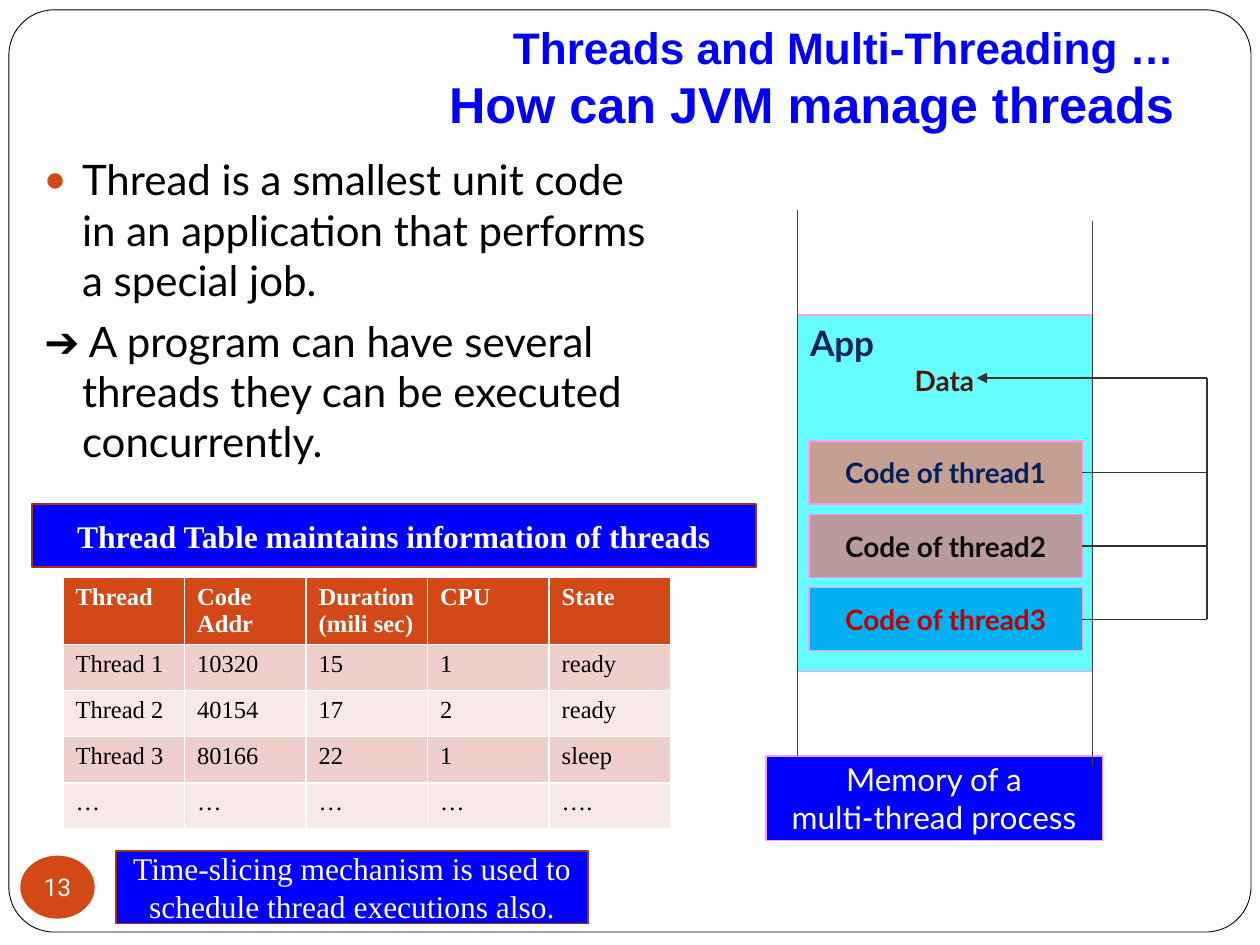
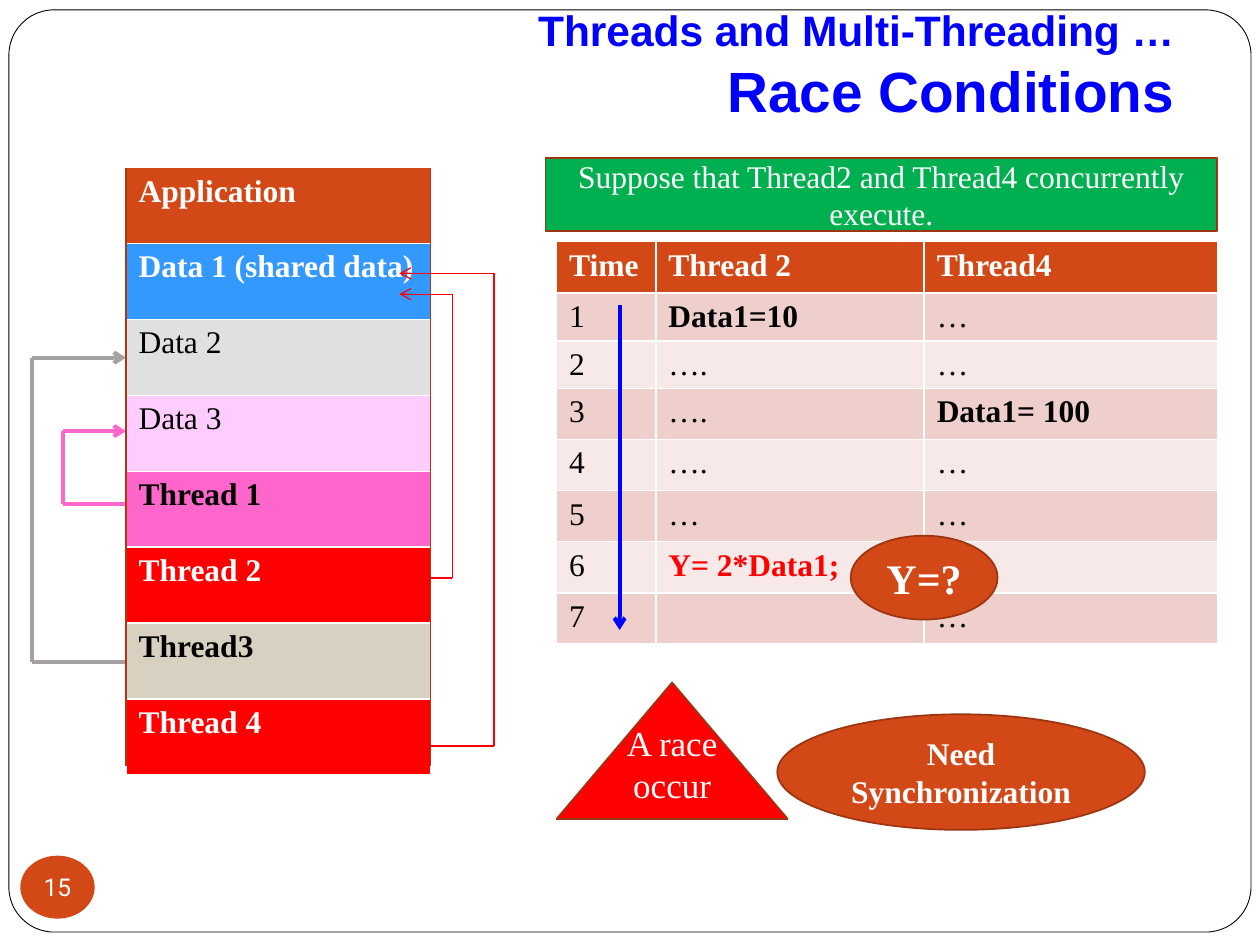
import pptx
import pptx.dml.color
import pptx.enum.shapes
import pptx.enum.text
import pptx.oxml
import pptx.oxml.ns
import pptx.util
from lxml import etree

Cm, Pt = pptx.util.Cm, pptx.util.Pt
SHAPE = pptx.enum.shapes.MSO_SHAPE
ALIGN = pptx.enum.text.PP_ALIGN
ANCHOR = pptx.enum.text.MSO_ANCHOR
SERIF, SANS, HEAD = "Times New Roman", "Lato", "Arial"
BLUE, ORANGE, RUST, RED = "0000FF", "D34817", "9C3511", "FF0000"
WHITE, BLACK, PINK = "FFFFFF", "000000", "FF99FF"
BANDS = ["EFCFCC", "F7E9E8"]


def rgb(code):
    """Turn a hex string into a colour."""
    return pptx.dml.color.RGBColor.from_string(code)


def add(parent, tag, **attrs):
    """Append a DrawingML element to parent."""
    el = etree.SubElement(parent, pptx.oxml.ns.qn(tag))
    for name, value in attrs.items():
        el.set(name, value)
    return el


def write(p, text, size, color, font=SERIF, bold=False):
    """Add one formatted run to a paragraph."""
    r = p.add_run()
    r.text = text
    r.font.size, r.font.name, r.font.bold = Pt(size), font, bold
    r.font.color.rgb = rgb(color)


def paragraphs(tf, count):
    """Yield count paragraphs of a text frame, starting with its first."""
    for i in range(count):
        yield tf.add_paragraph() if i else tf.paragraphs[0]


class Deck:
    """Holds the presentation, the shared style and the current slide."""

    def __init__(self):
        """Start a 4:3 presentation."""
        self.prs = pptx.Presentation()
        self.prs.slide_width, self.prs.slide_height = Cm(25.4), Cm(19.05)
        self.s = None

    def slide(self, layout, number, top, lines):
        """Add a slide with its frame, two-line title and number badge."""
        self.s = self.prs.slides.add_slide(self.prs.slide_layouts[layout])
        frame = self.box(SHAPE.ROUNDED_RECTANGLE, (0.18, 0.2, 25.04, 18.59),
                         None, BLACK, width=0.5)
        frame.adjustments[0] = 0.049
        tf = self.placeholder(self.s.shapes.title, (2.54, top, 21.39, 2.74))
        tf.vertical_anchor = ANCHOR.BOTTOM
        tf.margin_bottom = Cm(0.25)
        p = tf.paragraphs[0]
        p.alignment = ALIGN.RIGHT
        for i, (text, size) in enumerate(lines):
            if i:
                p.add_line_break()
            write(p, text, size, BLUE, HEAD, True)
        badge = self.box(SHAPE.OVAL, (0.41, 17.25, 1.5, 1.27), ORANGE, None,
                         [number], 14, font="Roboto")
        tf = badge.text_frame
        tf.margin_left = tf.margin_right = tf.margin_top = tf.margin_bottom = 0

    def placeholder(self, sp, at):
        """Move a placeholder and return its text frame."""
        sp.left, sp.top, sp.width, sp.height = map(Cm, at)
        tf = sp.text_frame
        tf.word_wrap = True
        tf.auto_size = pptx.enum.text.MSO_AUTO_SIZE.NONE
        return tf

    def body(self, at, items):
        """Fill the body placeholder with (text, has bullet) items."""
        tf = self.placeholder(self.s.placeholders[1], at)
        for p, (text, bullet) in zip(paragraphs(tf, len(items)), items):
            p.space_before = Pt(5.8)
            write(p, text, 24, BLACK, SANS)
            pPr = p._p.get_or_add_pPr()
            pPr.set("marL", str(Cm(0.76)))
            pPr.set("indent", str(-Cm(0.76)))
            if bullet:
                add(add(pPr, "a:buClr"), "a:srgbClr", val=ORANGE)
                add(pPr, "a:buSzPct", val="85000")
                add(pPr, "a:buChar", char="●")
            else:
                add(pPr, "a:buNone")

    def box(self, kind, at, fill, line, lines=(), size=18, color=WHITE,
            font=SERIF, bold=False, width=1):
        """Draw a preset shape with centred lines of text."""
        sp = self.s.shapes.add_shape(kind, *map(Cm, at))
        sp.shadow.inherit = False
        if fill:
            sp.fill.solid()
            sp.fill.fore_color.rgb = rgb(fill)
        else:
            sp.fill.background()
        if line:
            sp.line.color.rgb = rgb(line)
            sp.line.width = Pt(width)
        else:
            sp.line.fill.background()
        tf = sp.text_frame
        tf.word_wrap = True
        tf.vertical_anchor = ANCHOR.MIDDLE
        for p, text in zip(paragraphs(tf, len(lines)), lines):
            p.alignment = ALIGN.CENTER
            write(p, text, size, color, font, bold)
        return sp

    def route(self, points, color, width=0.75, arrow=None):
        """Join points with straight connectors, an arrow on the last."""
        for start, end in zip(points, points[1:]):
            cx = self.s.shapes.add_connector(
                pptx.enum.shapes.MSO_CONNECTOR.STRAIGHT, *map(Cm, start + end))
            cx.line.color.rgb = rgb(color)
            cx.line.width = Pt(width)
            if arrow and end == points[-1]:
                add(cx.line._get_or_add_ln(), "a:tailEnd", type=arrow)
            add(cx._element.spPr, "a:effectLst")

    def table(self, left, top, widths, heights, rows, size, fills, special=None):
        """Draw a table; special maps (row, column) to (colour, bold)."""
        shape = self.s.shapes.add_table(
            len(rows), len(widths), Cm(left), Cm(top),
            Cm(sum(widths)), Cm(sum(heights)))
        tbl = shape.table
        for col, w in zip(tbl.columns, widths):
            col.width = Cm(w)
        for i, row in enumerate(rows):
            tbl.rows[i].height = Cm(heights[i])
            for j, text in enumerate(row):
                cell = tbl.cell(i, j)
                cell.fill.solid()
                cell.fill.fore_color.rgb = rgb(fills[i])
                usual = (BLACK, False) if i else (WHITE, True)
                color, bold = (special or {}).get((i, j), usual)
                lines = text.split("\n") if text else []
                tf = cell.text_frame
                for p, line in zip(paragraphs(tf, len(lines)), lines):
                    write(p, line, size, color, bold=bold)


def thread_management(d):
    """Build the slide on how threads are managed."""
    d.slide(1, "13", 0.2, [("Threads and Multi-Threading …", 25.2),
                           ("How can JVM manage threads", 28.8)])
    d.body((0.64, 2.97, 12.9, 6.99), [
        ("Thread is a smallest unit code in an application that performs "
         "a special job.", True),
        ("➔ A program can have several threads they can be executed "
         "concurrently.", False)])

    left, right, bus = 16.08, 22.02, 24.33
    d.box(SHAPE.RECTANGLE, (15.44, 15.24, 6.78, 1.7), BLUE, PINK,
          ["Memory of a", "multi-thread process"], font=SANS, width=0.75)
    app = d.box(SHAPE.RECTANGLE, (left, 6.35, 5.92, 7.19), "66FFFF", PINK,
                width=0.75)
    tf = app.text_frame
    tf.vertical_anchor = ANCHOR.TOP
    name, data = paragraphs(tf, 2)
    name.alignment, data.alignment = ALIGN.LEFT, ALIGN.CENTER
    write(name, "App", 20, "002060", SANS, True)
    write(data, "Data", 16, "4E1710", SANS, True)

    d.route([(left, 4.24), (left, 15.24)], "494142")
    d.route([(right, 4.45), (right, 15.44)], "494142")
    codes = [("C49F92", "002060"), ("B99B9B", "0D0D0D"), ("00B0F0", "C00000")]
    for i, (fill, color) in enumerate(codes):
        y = 8.89 + 1.48 * i
        middle = y + 0.635
        d.box(SHAPE.RECTANGLE, (16.31, y, 5.51, 1.27), fill, PINK,
              [f"Code of thread{i + 1}"], 16, color, SANS, True, 0.75)
        d.route([(21.82, middle), (bus, middle)], "353232")
    d.route([(bus, middle), (bus, 7.62), (19.69, 7.62)], "353232",
            arrow="triangle")

    d.table(1.27, 11.63, [2.45] * 5, [1.36] + [0.93] * 4, [
        ["Thread", "Code Addr", "Duration\n(mili sec)", "CPU", "State"],
        ["Thread 1", "10320", "15", "1", "ready"],
        ["Thread 2", "40154", "17", "2", "ready"],
        ["Thread 3", "80166", "22", "1", "sleep"],
        ["…", "…", "…", "…", "…."]], 14, [ORANGE] + BANDS * 2)
    d.box(SHAPE.RECTANGLE, (0.64, 10.16, 14.6, 1.27), BLUE, RUST,
          ["Thread Table maintains information of threads"], bold=True)
    d.box(SHAPE.RECTANGLE, (2.34, 17.15, 9.52, 1.47), BLUE, RUST,
          ["Time-slicing mechanism is used to schedule thread executions also."])


def race_conditions(d):
    """Build the slide on race conditions."""
    d.slide(5, "15", 0, [("Threads and Multi-Threading …", 24.3),
                         ("Race Conditions", 32.4)])
    memory = [("Application", ORANGE, WHITE, True),
              ("Data 1 (shared data)", "3399FF", WHITE, True),
              ("Data 2", "E1E0E0", BLACK, False),
              ("Data 3", "FFCCFF", BLACK, False),
              ("Thread 1", "FF66CC", BLACK, True),
              ("Thread 2", RED, WHITE, True),
              ("Thread3", "D8D0C0", BLACK, True),
              ("Thread 4", RED, WHITE, True)]
    left, right = 2.54, 8.68
    d.table(left, 3.38, [right - left], [1.53] * 8, [[m[0]] for m in memory],
            18, [m[1] for m in memory],
            {(i, 0): m[2:] for i, m in enumerate(memory)})
    # Each access: table side, thread height, outer x, data height, style
    for side, thread, outer, data, color, width in [
            (left, 10.16, 1.27, 8.69, "FF66CC", 2.25),
            (left, 13.34, 0.64, 7.21, "A6A1A1", 2.25),
            (8.05, 11.65, 9.12, 5.93, RED, 0.75),
            (8.05, 15.04, 9.96, 5.51, RED, 0.75)]:
        d.route([(side, thread), (outer, thread), (outer, data), (side, data)],
                color, width, "arrow")
    for x in (left, right):
        d.route([(x, 3.38), (x, 15.45)], "B1360B")

    d.box(SHAPE.ISOSCELES_TRIANGLE, (11.22, 13.76, 4.66, 2.75), RED, RUST,
          ["A race", "occurs"], 20)
    d.box(SHAPE.OVAL, (15.67, 14.4, 7.41, 2.33), ORANGE, RUST,
          ["Need", "Synchronization"], bold=True)
    d.box(SHAPE.RECTANGLE, (11, 3.18, 13.54, 1.48), "00B050", RUST,
          ["Suppose that Thread2 and Thread4 concurrently execute."])
    d.table(11.22, 4.87, [2, 5.41, 5.92], [1.04, 0.96, 0.96] + [1.03] * 5, [
        ["Time", "Thread 2", "Thread4"],
        ["1", "Data1=10", "…"],
        ["2", "….", "…"],
        ["3", "….", "Data1= 100"],
        ["4", "….", "…"],
        ["5", "…", "…"],
        ["6", "Y= 2*Data1;", "…"],
        ["7", "", "…"]], 18, [ORANGE] + (BANDS * 4)[:7],
        {(1, 1): (BLACK, True), (3, 2): (BLACK, True), (6, 1): (RED, True)})
    d.box(SHAPE.OVAL, (17.15, 10.8, 2.96, 1.69), ORANGE, RUST,
          ["Y=?"], 24, bold=True)
    d.route([(12.49, 6.15), (12.49, 12.7)], BLUE, 2.25, "arrow")


deck = Deck()
thread_management(deck)
race_conditions(deck)
deck.prs.save("out.pptx")
